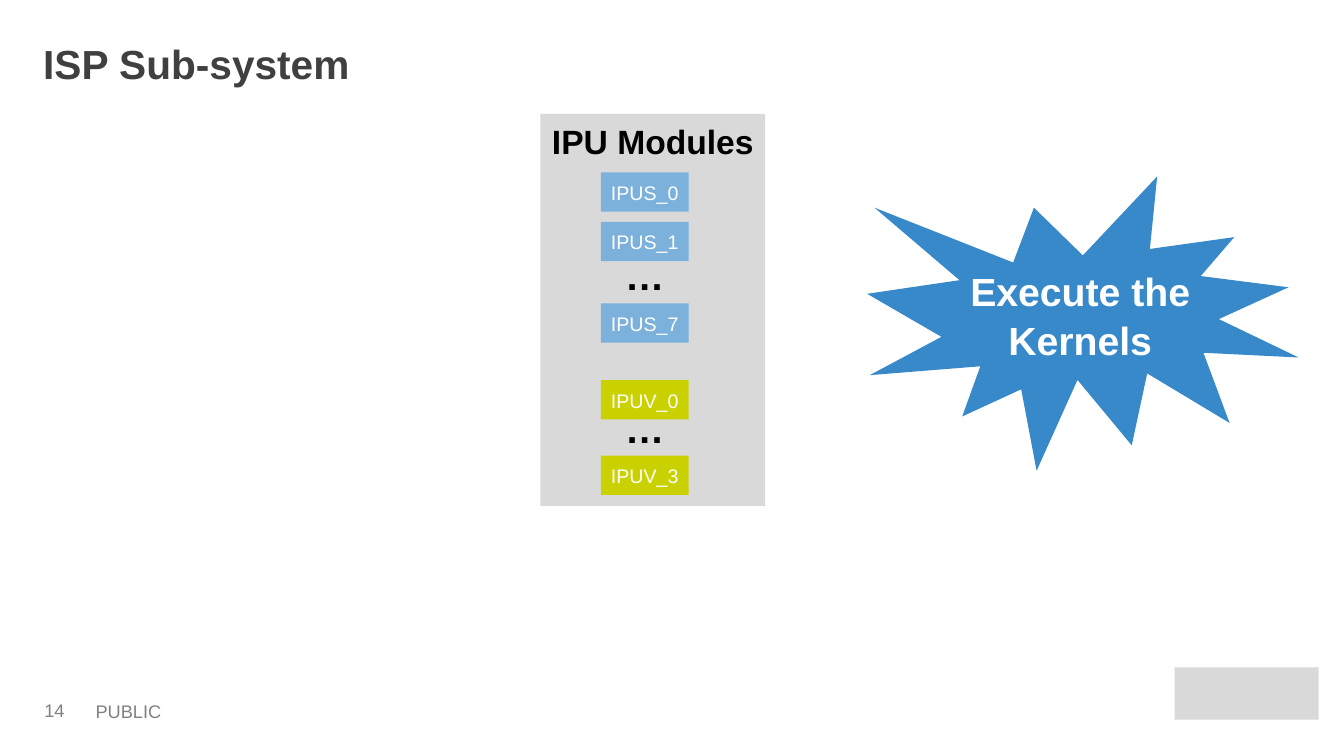
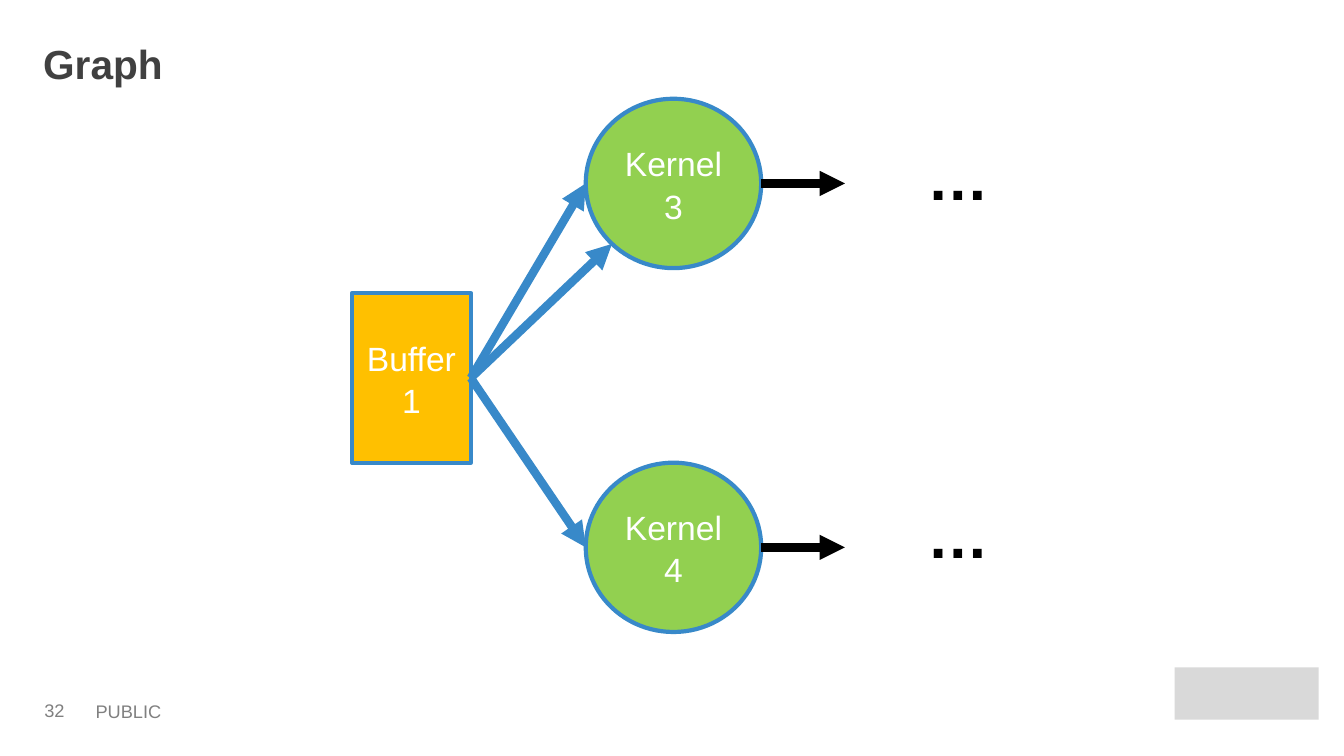
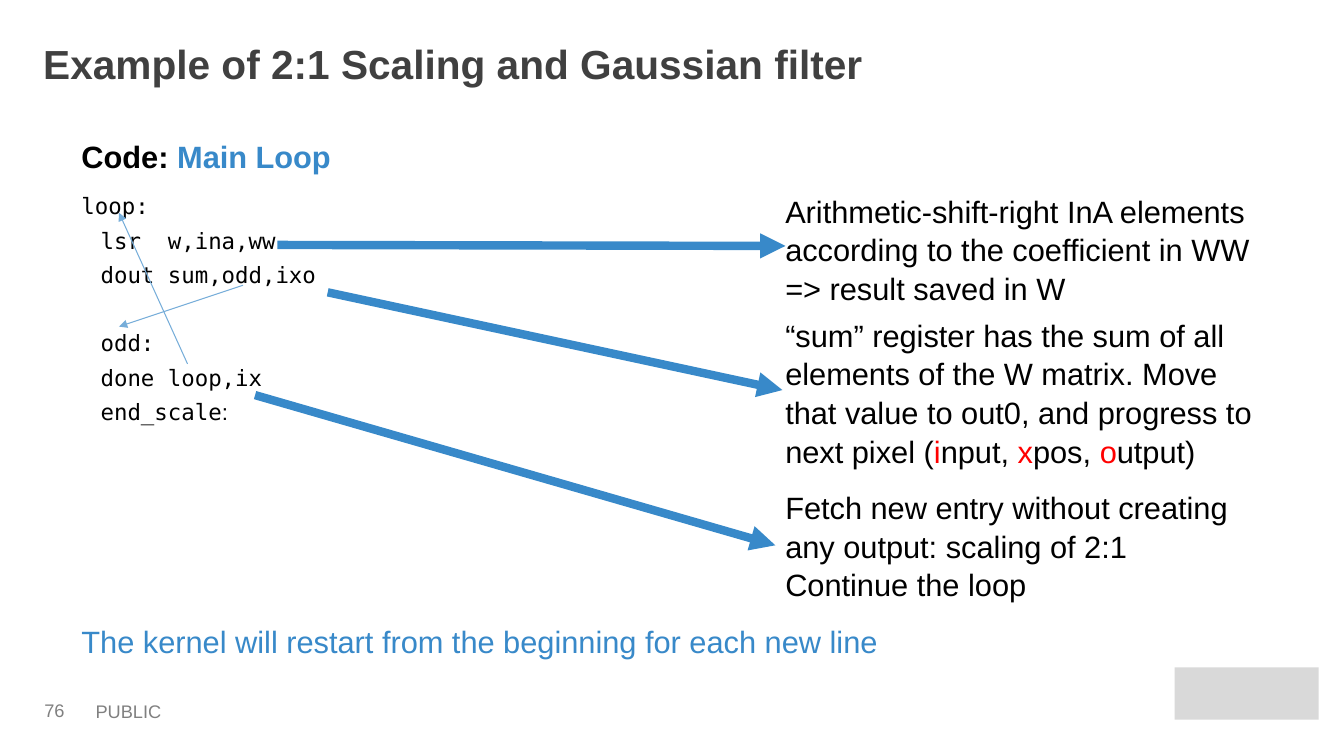
from lxml import etree
from pptx import Presentation
from pptx.dml.color import RGBColor
from pptx.enum.shapes import MSO_CONNECTOR, MSO_SHAPE
from pptx.enum.text import MSO_ANCHOR, PP_ALIGN
from pptx.oxml.ns import qn
from pptx.util import Inches, Pt

BLACK = RGBColor(0x00, 0x00, 0x00)
WHITE = RGBColor(0xFF, 0xFF, 0xFF)
RED = RGBColor(0xFF, 0x00, 0x00)
TITLE_GREY = RGBColor(0x40, 0x40, 0x40)
FOOTER_GREY = RGBColor(0x80, 0x80, 0x80)
PANEL_GREY = RGBColor(0xD9, 0xD9, 0xD9)
BLUE = RGBColor(0x38, 0x89, 0xC9)
LIGHT_BLUE = RGBColor(0x7B, 0xB1, 0xDB)
THIN_BLUE = RGBColor(0x76, 0xAD, 0xD9)
LIME = RGBColor(0xC9, 0xD2, 0x00)
GREEN = RGBColor(0x92, 0xD0, 0x50)
AMBER = RGBColor(0xFF, 0xC0, 0x00)
FONT = "Arial"
CODE_FONT = "DejaVu Sans Mono"


def add_text(slide, box, paragraphs, size, color=BLACK, bold=False, font=FONT, kind=None,
             fill=None, outline=None, centred=False, middle=False, inset=0.1, spacing=1.05):
    """Add a text box, or a preset shape if kind is given.

    A paragraph is a string or a list of (text, format values) runs.
    """
    place = [Inches(value) for value in box]
    if kind is None:
        shape = slide.shapes.add_textbox(*place)
    else:
        shape = slide.shapes.add_shape(kind, *place)
        shape.shadow.inherit = False
        shape.fill.solid()
        shape.fill.fore_color.rgb = fill
        if outline is None:
            shape.line.fill.background()
        else:
            shape.line.color.rgb = outline
            shape.line.width = Pt(3)
    frame = shape.text_frame
    frame.word_wrap = True
    frame.margin_left = frame.margin_right = Inches(inset)
    frame.vertical_anchor = MSO_ANCHOR.MIDDLE if middle else MSO_ANCHOR.TOP
    for index, runs in enumerate(paragraphs):
        paragraph = frame.add_paragraph() if index else frame.paragraphs[0]
        paragraph.alignment = PP_ALIGN.CENTER if centred else PP_ALIGN.LEFT
        paragraph.line_spacing = spacing
        for text, changes in [(runs, {})] if isinstance(runs, str) else runs:
            run = paragraph.add_run()
            run.text = text
            values = {"name": font, "size": Pt(size), "bold": bold, "color": color} | changes
            run.font.color.rgb = values.pop("color")
            for name, value in values.items():
                setattr(run.font, name, value)
    return shape


def add_arrow(slide, start, end, color=BLUE, width=6):
    arrow = slide.shapes.add_connector(
        MSO_CONNECTOR.STRAIGHT, *[Inches(value) for value in (*start, *end)])
    arrow.line.color.rgb = color
    arrow.line.width = Pt(width)
    etree.SubElement(arrow.line._get_or_add_ln(), qn("a:tailEnd"), type="triangle")
    etree.SubElement(arrow._element.spPr, qn("a:effectLst"))


presentation = Presentation()
presentation.slide_width = Inches(13.33)
presentation.slide_height = Inches(7.5)

# Title, footer and corner mark shared by all slides
slides = []
for title, number in [
    ("ISP Sub-system", "14"),
    ("Graph", "32"),
    ("Example of 2:1 Scaling and Gaussian filter", "76"),
]:
    slide = presentation.slides.add_slide(presentation.slide_layouts[6])
    add_text(slide, (0.33, 0.31, 12.75, 0.72), [title], 29, TITLE_GREY, bold=True)
    add_text(slide, (0.85, 6.89, 3.98, 0.34), ["PUBLIC"], 13, FOOTER_GREY)
    add_text(slide, (0.37, 6.89, 0.65, 0.3), [number], 13, FOOTER_GREY, middle=True, inset=0.07)
    add_text(slide, (11.65, 6.62, 1.43, 0.52), [], 13, kind=MSO_SHAPE.RECTANGLE, fill=PANEL_GREY)
    slides.append(slide)
subsystem_slide, graph_slide, code_slide = slides

# ISP Sub-system
add_text(subsystem_slide, (5.36, 1.13, 2.23, 3.89), ["IPU Modules"], 24, bold=True,
         kind=MSO_SHAPE.RECTANGLE, fill=PANEL_GREY, centred=True)
for name, top, fill in [
    ("IPUS_0", 1.71, LIGHT_BLUE),
    ("IPUS_1", 2.2, LIGHT_BLUE),
    ("IPUS_7", 3.01, LIGHT_BLUE),
    ("IPUV_0", 3.77, LIME),
    ("IPUV_3", 4.52, LIME),
]:
    add_text(subsystem_slide, (5.96, top, 0.87, 0.39), [name], 14, WHITE,
             kind=MSO_SHAPE.RECTANGLE, fill=fill, centred=True, middle=True, inset=0.05)
for top in (2.5, 4.02):
    add_text(subsystem_slide, (5.96, top, 0.87, 0.42), ["…"], 28, bold=True,
             centred=True, middle=True)
add_text(subsystem_slide, (8.6, 1.75, 4.28, 2.92), ["Execute the Kernels"], 28, WHITE, bold=True,
         kind=MSO_SHAPE.EXPLOSION1, fill=BLUE, centred=True, middle=True)

# Graph
node_height = 1.68
buffer_exit = (4.67, 3.75)
add_text(graph_slide, (3.49, 2.91, 1.18, node_height), ["Buffer 1"], 24, WHITE,
         kind=MSO_SHAPE.RECTANGLE, fill=AMBER, outline=BLUE, centred=True, middle=True)
for name, top, dots_top in [("Kernel 3", 0.98, 1.29), ("Kernel 4", 4.59, 4.84)]:
    centre = top + node_height / 2
    add_text(graph_slide, (5.81, top, 1.74, node_height), [name], 24, WHITE,
             kind=MSO_SHAPE.OVAL, fill=GREEN, outline=BLUE, centred=True, middle=True)
    add_text(graph_slide, (9.1, dots_top, 0.75, 0.68), ["…"], 44, bold=True)
    add_arrow(graph_slide, (7.55, centre), (8.38, centre), BLACK)
    add_arrow(graph_slide, buffer_exit, (5.81, centre))
add_arrow(graph_slide, buffer_exit, (6.07, 2.42))

# Example of 2:1 Scaling and Gaussian filter
add_text(code_slide, (0.71, 1.3, 9.75, 0.54),
         [[("Code: ", {}), ("Main Loop", {"color": BLUE})]], 22, bold=True)
code_box = add_text(
    code_slide, (0.71, 1.86, 6.42, 2.75),
    ["loop:", "lsr  w,ina,ww", "dout sum,odd,ixo", "odd:", "done loop,ix",
     [("end_scale", {}), (":", {"name": FONT})]],
    16, font=CODE_FONT, spacing=1.0)
for paragraph in code_box.text_frame.paragraphs[1:]:
    paragraph.space_before = Pt(29.4 if paragraph.text == "odd:" else 5.4)
    paragraph._p.get_or_add_pPr().set("marL", str(Inches(0.19)))

red = {"color": RED}
for top, height, paragraphs in [
    (1.84, 1.21, ["Arithmetic-shift-right InA elements according to the coefficient in WW "
                  "=> result saved in W"]),
    (3.07, 1.64, [[("“sum” register has the sum of all elements of the W matrix. Move that value "
                    "to out0, and progress to next pixel (", {}),
                   ("i", red), ("nput, ", {}), ("x", red), ("pos, ", {}),
                   ("o", red), ("utput)", {})]]),
    (4.78, 1.27, ["Fetch new entry without creating any output: scaling of 2:1",
                  "Continue the loop"]),
]:
    add_text(code_slide, (7.69, top, 4.84, height), paragraphs, 22)
add_text(code_slide, (0.71, 6.11, 8.53, 0.43),
         ["The kernel will restart from the beginning for each new line"], 22, BLUE)

for start, end in [
    ((2.75, 2.43), (7.79, 2.44)),
    ((3.25, 2.9), (7.76, 3.87)),
    ((2.53, 3.92), (7.69, 5.41)),
]:
    add_arrow(code_slide, start, end)
for start, end in [((2.41, 2.83), (1.18, 3.24)), ((1.86, 3.61), (1.18, 2.11))]:
    add_arrow(code_slide, start, end, THIN_BLUE, 0.75)

presentation.save("out.pptx")
